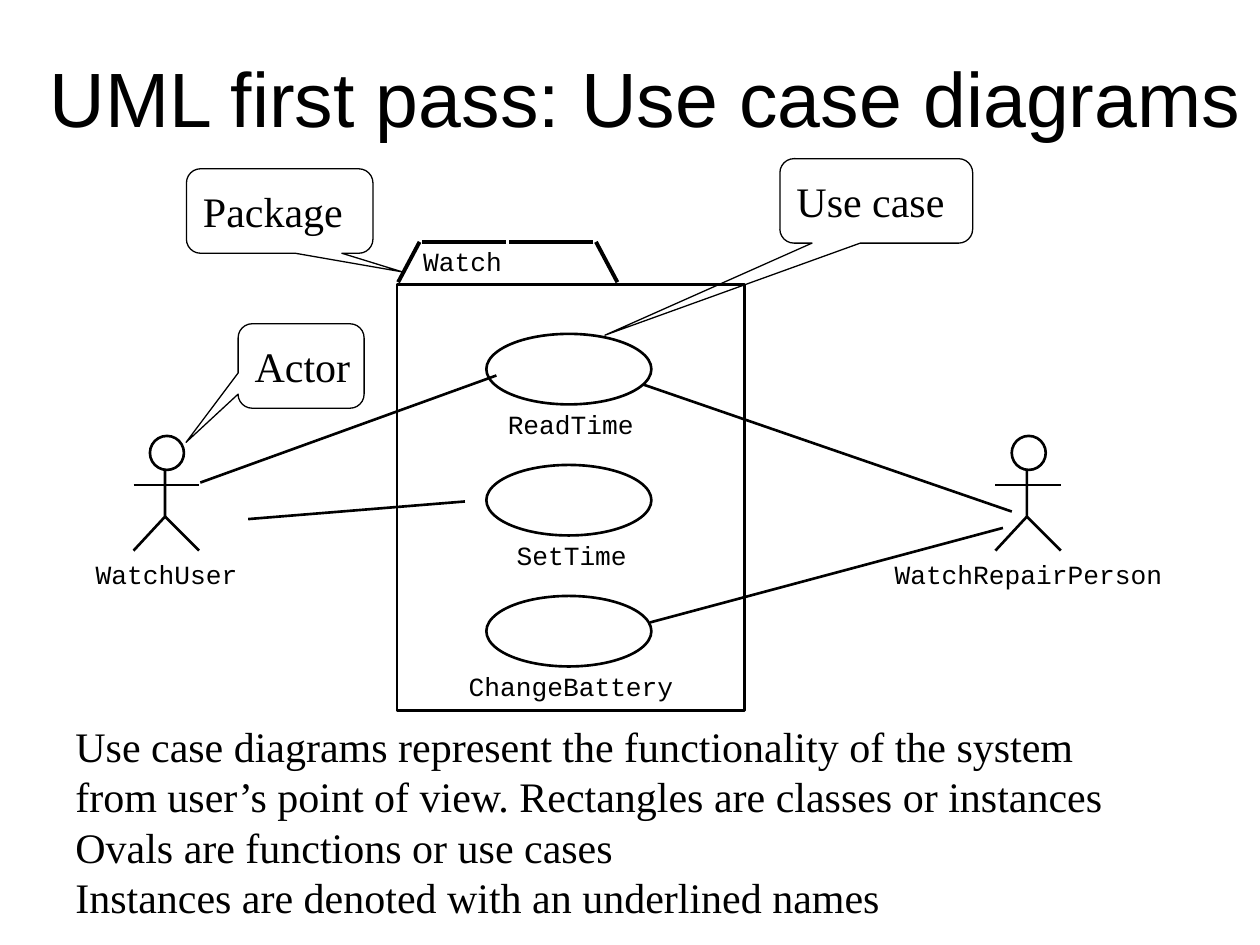
from lxml.etree import SubElement
from pptx import Presentation
from pptx.dml.color import RGBColor
from pptx.enum.shapes import MSO_CONNECTOR as LINK, MSO_SHAPE as SHAPE
from pptx.enum.text import MSO_ANCHOR as ANCHOR, MSO_AUTO_SIZE as FIT, PP_ALIGN as ALIGN
from pptx.oxml.ns import qn
from pptx.util import Inches, Pt

BLACK = RGBColor(0, 0, 0)
WHITE = RGBColor(255, 255, 255)

TITLE = "UML first pass: Use case diagrams"
NOTES = [
    "Use case diagrams represent the functionality of the system",
    "from user’s point of view. Rectangles are classes or instances",
    "Ovals are functions or use cases",
    "Instances are denoted with an underlined names",
]
HEAD = {"name": "Arial", "size": Pt(44)}
BODY = {"name": "Times New Roman", "size": Pt(24)}
CODE = {"name": "Courier New", "size": Pt(15)}

# Name, figure left, label left, label width
ACTORS = [("WatchUser", 1.06, 0.76, 1.13),
          ("WatchRepairPerson", 7.9, 7.1, 2.13)]
# Name, label left, label width
CASES = [("ReadTime", 4.03, 1), ("SetTime", 4.1, 0.88), ("ChangeBattery", 3.72, 1.63)]
CASE_TOP, CASE_STEP = 2.65, 1.04
# Line ends: x1, y1, x2, y2
USES = [(1.59, 3.83, 3.94, 2.98), (1.97, 4.12, 3.69, 3.98),
        (5.16, 4.94, 7.96, 4.19), (5.1, 3.05, 8.03, 4.06)]
TAB = [(3.16, 2.24, 3.33, 1.92), (3.35, 1.92, 4.02, 1.92),
       (4.9, 2.24, 4.73, 1.92), (4.71, 1.92, 4.04, 1.92)]
# Text, left, top, width, pointer offsets
CALLOUTS = [("Actor", 1.89, 2.57, 1, (-0.913, 0.904)),
            ("Use case", 6.19, 1.26, 1.53, (-1.408, 1.591)),
            ("Package", 1.48, 1.34, 1.48, (0.658, 0.721))]

prs = Presentation()
prs.slide_width, prs.slide_height = Inches(10), Inches(7.5)
shapes = prs.slides.add_slide(prs.slide_layouts[6]).shapes


def write(shape, lines, font, wrap=False, inset=(0.1, 0.05), align=ALIGN.LEFT,
          anchor=ANCHOR.TOP, fit=FIT.NONE):
    frame = shape.text_frame
    frame.word_wrap = wrap
    frame.auto_size = fit
    frame.vertical_anchor = anchor
    frame.margin_left = frame.margin_right = Inches(inset[0])
    frame.margin_top = frame.margin_bottom = Inches(inset[1])
    frame.text = "\n".join(lines)
    for par in frame.paragraphs:
        par.alignment = align
        for key, value in font.items():
            setattr(par.font, key, value)
        par.font.color.rgb = BLACK


def text(box, lines, font, **style):
    write(shapes.add_textbox(*map(Inches, box)), lines, font, **style)


def label(name, left, top, width):
    text((left, top, width, 0.25), [name], CODE, inset=(0, 0), fit=FIT.SHAPE_TO_FIT_TEXT)


def outline(shape, fill=None, width=1.5):
    shape.shadow.inherit = False
    if fill is None:
        shape.fill.background()
    else:
        shape.fill.solid()
        shape.fill.fore_color.rgb = fill
    shape.line.color.rgb = BLACK
    shape.line.width = Pt(width)


def draw(kind, box, **style):
    shape = shapes.add_shape(kind, *map(Inches, box))
    outline(shape, **style)
    return shape


def link(ends, width=1.5):
    line = shapes.add_connector(LINK.STRAIGHT, *map(Inches, ends))
    line.line.color.rgb = BLACK
    line.line.width = Pt(width)
    SubElement(line._element.spPr, qn("a:effectLst"))


def actor(name, left, label_left, width):
    mid, right = left + 0.25, left + 0.52
    limb = shapes.build_freeform(Inches(mid), Inches(3.65))
    limb.add_line_segments([(Inches(mid), Inches(4.1)), (Inches(left), Inches(4.37))],
                           close=False)
    outline(limb.convert_to_shape())
    link((mid, 4.1, right, 4.37))
    link((left, 3.85, right, 3.85))
    draw(SHAPE.OVAL, (left + 0.13, 3.46, 0.27, 0.27), fill=WHITE)
    label(name, label_left, 4.43, width)


text((0, 0.25, 10.25, 1.03), [TITLE], HEAD, wrap=True, align=ALIGN.CENTER,
     anchor=ANCHOR.MIDDLE)

for person in ACTORS:
    actor(*person)

for row, (name, left, width) in enumerate(CASES):
    top = CASE_TOP + row * CASE_STEP
    draw(SHAPE.OVAL, (3.86, top, 1.31, 0.56))
    label(name, left, top + 0.59, width)

for name, left, top, width, tip in CALLOUTS:
    bubble = draw(SHAPE.ROUNDED_RECTANGULAR_CALLOUT, (left, top, width, 0.67),
                  fill=WHITE, width=0.75)
    bubble.adjustments[0], bubble.adjustments[1] = tip
    write(bubble, [name], BODY, anchor=ANCHOR.MIDDLE)

draw(SHAPE.RECTANGLE, (3.15, 2.26, 2.76, 3.38))
for ends in TAB:
    link(ends, 2.25)
text((3.26, 1.9, 0.84, 0.35), ["Watch"], CODE, fit=FIT.SHAPE_TO_FIT_TEXT)
for ends in USES:
    link(ends)

text((0.5, 5.67, 9.33, 2.1), NOTES, BODY, wrap=True)

prs.save("out.pptx")
